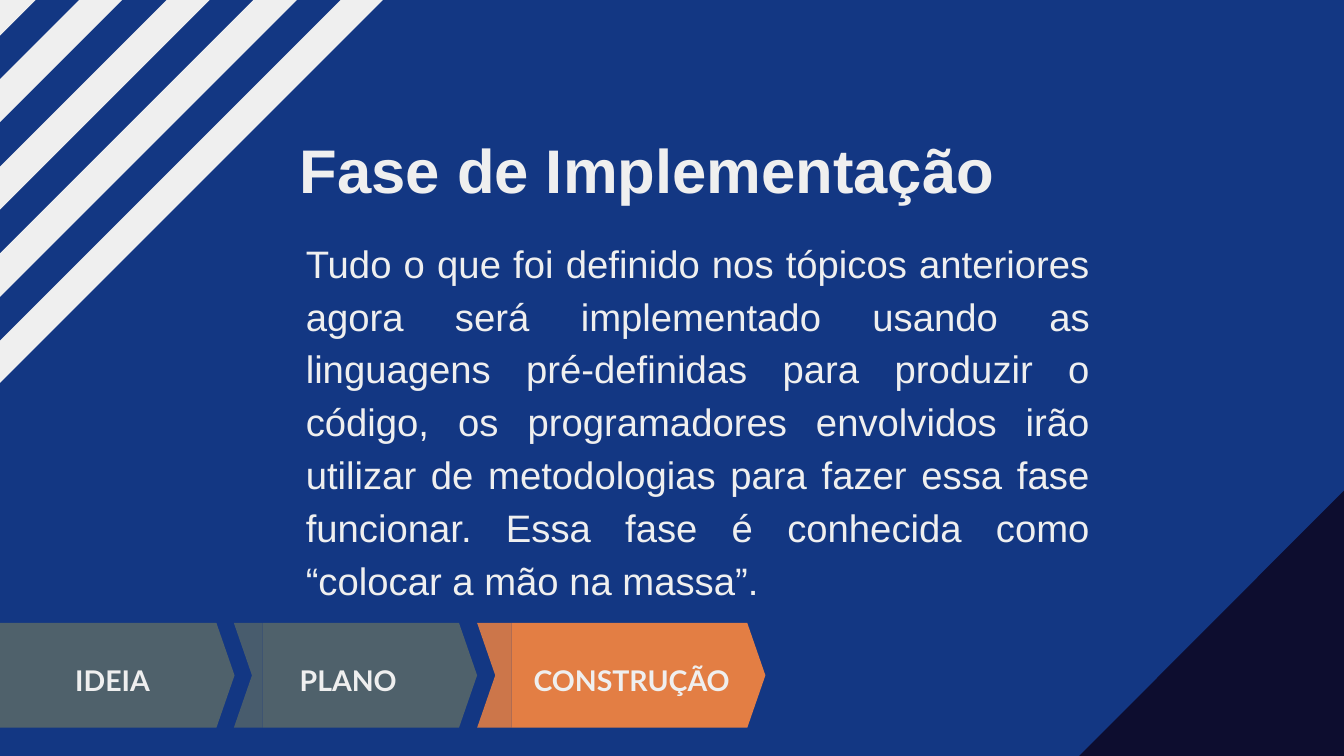
from lxml.etree import SubElement
from pptx import Presentation
from pptx.dml.color import RGBColor
from pptx.enum.text import MSO_ANCHOR, MSO_AUTO_SIZE, PP_ALIGN
from pptx.oxml.ns import qn
from pptx.util import Pt

PX = 9144
BLUE, NAVY, PALE = "133783", "0D0D2F", "EFEFEF"
SLATE, AMBER = "4F616B", "E37E44"
TOP, MID, BASE, TIP = 927, 1005, 1083, 27

STRIPES = [(0, 53), (118, 182), (248, 312), (377, 442), (507, 570)]
STEPS = [
    ("IDEIA", None, 0, 349, SLATE, 112, 183),
    ("PLANO", 348, 391, 710, SLATE, 446, 150),
    ("CONSTRUÇÃO", 710, 761, 1139, AMBER, 794, 314),
]
BODY = (
    "Tudo o que foi definido nos tópicos anteriores agora será implementado "
    "usando as linguagens pré-definidas para produzir o código, os "
    "programadores envolvidos irão utilizar de metodologias para fazer essa "
    "fase funcionar. Essa fase é conhecida como “colocar a mão na massa”."
)


def paint(fill, color):
    fill.solid()
    fill.fore_color.rgb = RGBColor.from_string(color)


class Deck:
    """Style and current slide, with one method per kind of element."""

    def __init__(self, wide, high):
        self.prs = Presentation()
        self.prs.slide_width, self.prs.slide_height = wide * PX, high * PX
        self.slide = self.prs.slides.add_slide(self.prs.slide_layouts[1])
        paint(self.slide.background.fill, BLUE)

    def shape(self, loops, color, alpha=100):
        (first, *rest), *more = loops
        pen = self.slide.shapes.build_freeform(*first, scale=PX)
        pen.add_line_segments(rest, close=True)
        for start, *tail in more:
            pen.move_to(*start)
            pen.add_line_segments(tail, close=True)
        shape = pen.convert_to_shape()
        shape.shadow.inherit = False
        shape.line.fill.background()
        paint(shape.fill, color)
        if alpha < 100:
            tint = shape._element.spPr.find(".//" + qn("a:srgbClr"))
            SubElement(tint, qn("a:alpha"), val=str(alpha * 1000))

    def text(self, shape, box, words, font, size, bold=True, pad=(0, 2, 0, 0)):
        shape.left, shape.top, shape.width, shape.height = [n * PX for n in box]
        frame = shape.text_frame
        frame.margin_left, frame.margin_top, frame.margin_right, frame.margin_bottom = [
            n * PX for n in pad
        ]
        frame.word_wrap = True
        frame.auto_size = MSO_AUTO_SIZE.SHAPE_TO_FIT_TEXT
        frame.vertical_anchor = MSO_ANCHOR.TOP
        frame.text = words
        para = frame.paragraphs[0]
        para.alignment = PP_ALIGN.LEFT
        para.space_before = Pt(0)
        return para, font, size, bold

    def style(self, para, font, size, bold):
        para.font.name, para.font.size, para.font.bold = font, Pt(size), bold
        paint(para.font.fill, PALE)

    def title(self, box, words):
        shape = self.slide.shapes.title
        self.style(*self.text(shape, box, words, "Arial", 66, pad=(0, 1, 0, 0)))

    def body(self, box, words):
        shape = self.slide.placeholders[1]
        para, *look = self.text(shape, box, words, "Arial", 41, False, (10,) * 4)
        para.alignment = PP_ALIGN.JUSTIFY
        para.line_spacing = 1.15
        props = para._p.get_or_add_pPr()
        props.set("marL", "0")
        props.set("indent", "0")
        SubElement(props, qn("a:buNone"))
        self.style(para, *look)

    def label(self, box, words):
        shape = self.slide.shapes.add_textbox(0, 0, 0, 0)
        self.style(*self.text(shape, box, words, "Lato", 30.5))

    def fold(self, left, right, color):
        edge = [(left, BASE), (left + TIP, MID), (left, TOP), (right, TOP), (right, BASE)]
        self.shape([edge], color, 89)

    def arrow(self, left, right, color):
        neck = right - TIP
        edge = [(left, TOP), (neck, TOP), (right, MID), (neck, BASE), (left, BASE)]
        self.shape([edge], color)


def main():
    deck = Deck(2000, 1125)
    deck.title((446, 196, 1082, 112), "Fase de Implementação")
    deck.shape([[(2000, 730), (2000, 1125), (1606, 1125)]], NAVY)
    deck.shape([[(b, 0), (a, 0), (0, a), (0, b)] for a, b in STRIPES], PALE)
    for words, tail, left, right, color, start, wide in STEPS:
        if tail is not None:
            deck.fold(tail, left, color)
        deck.arrow(left, right, color)
        deck.label((start, 985, wide, 53), words)
    deck.body((445, 337, 1188, 565), BODY)
    deck.prs.save("out.pptx")


if __name__ == "__main__":
    main()
